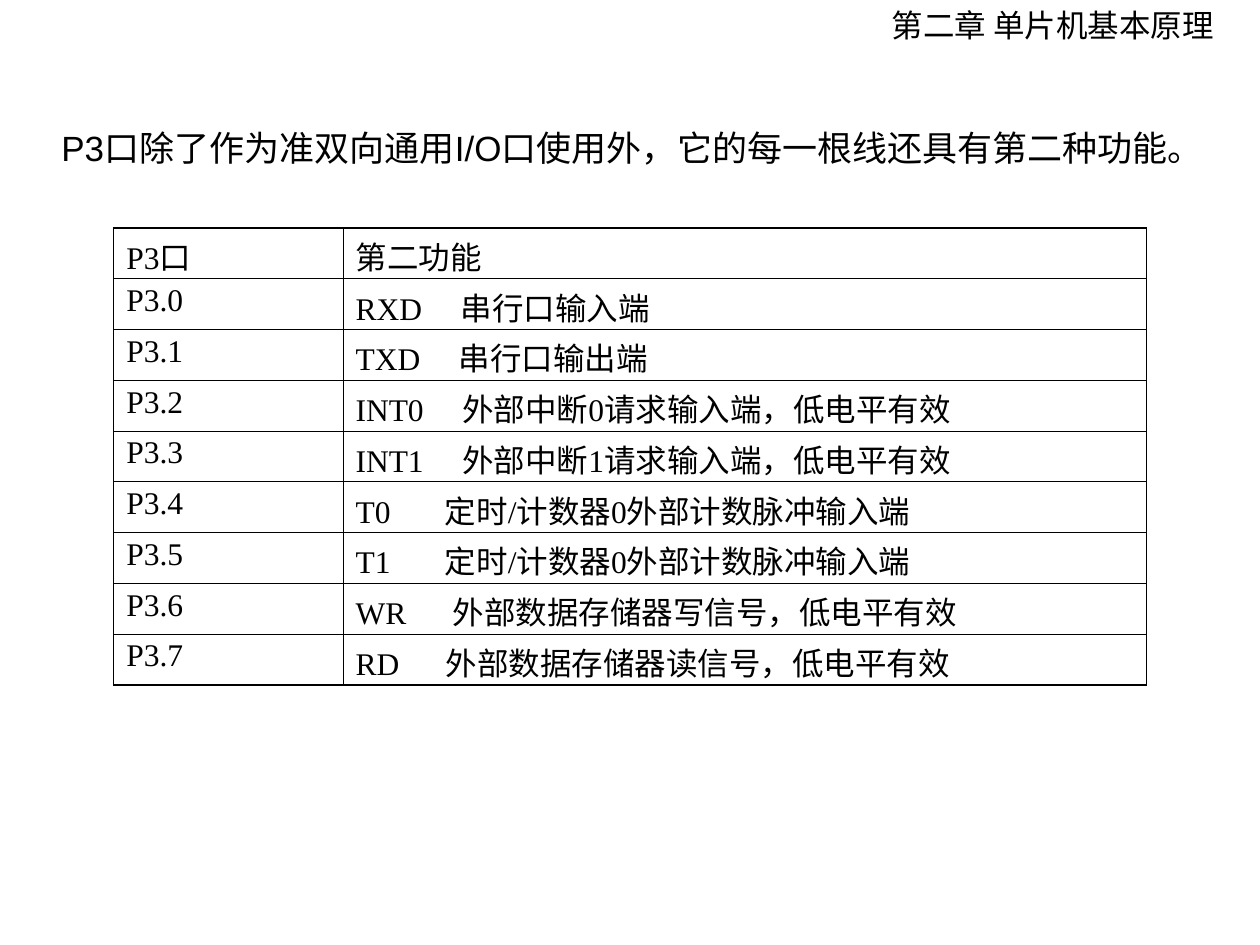
from dataclasses import dataclass

from lxml import etree
from pptx import Presentation
from pptx.dml import color
from pptx.enum import text
from pptx.oxml import ns
from pptx.util import Pt


@dataclass(frozen=True)
class Theme:
    """Colours, fonts, type sizes and line widths."""
    ink: color.RGBColor = color.RGBColor(0, 0, 0)
    sans: str = "Arial"
    serif: str = "Times New Roman"
    asian: str = "Noto Sans CJK JP"
    lead: float = 20
    body: float = 18
    edge: float = 0.96
    rule: float = 0.45


THEME = Theme()
TITLE = "第二章 单片机基本原理"
LEAD = "P3口除了作为准双向通用I/O口使用外，它的每一根线还具有第二种功能。"
HEADS = ("P3口", "第二功能")
PINS = [
    ("RXD", "串行口输入端", 60),
    ("TXD", "串行口输出端", 59),
    ("INT0", "外部中断0请求输入端，低电平有效", 61),
    ("INT1", "外部中断1请求输入端，低电平有效", 61),
    ("T0", "定时/计数器0外部计数脉冲输入端", 51),
    ("T1", "定时/计数器0外部计数脉冲输入端", 51),
    ("WR", "外部数据存储器写信号，低电平有效", 55.5),
    ("RD", "外部数据存储器读信号，低电平有效", 51.5),
]


def add(parent, tag, **attrs):
    """Append an XML element with the given attributes."""
    node = etree.SubElement(parent, ns.qn(tag))
    for key, value in attrs.items():
        node.set(key, str(value))
    return node


def write(frame, words, size=THEME.body, font=THEME.serif, stop=None):
    """Fill a text frame with one formatted line and an optional tab stop."""
    para = frame.paragraphs[0]
    para.alignment = text.PP_ALIGN.LEFT
    if stop:
        tabs = add(para._p.get_or_add_pPr(), "a:tabLst")
        add(tabs, "a:tab", pos=int(Pt(stop)), algn="l")
    run = para.add_run()
    run.text = words
    run.font.size = Pt(size)
    run.font.name = font
    run.font.color.rgb = THEME.ink
    add(run._r.get_or_add_rPr(), "a:ea", typeface=THEME.asian)


def label(slide, box, words, **style):
    """Place a single line of text in a box."""
    frame = slide.shapes.add_textbox(*map(Pt, box)).text_frame
    frame.word_wrap = False
    frame.vertical_anchor = text.MSO_ANCHOR.MIDDLE
    write(frame, words, **style)


def border(cell, top, base):
    """Draw the four borders of a cell and clear its fill."""
    props = cell._tc.get_or_add_tcPr()
    widths = {"L": THEME.rule, "R": THEME.rule, "T": top, "B": base}
    for side, width in widths.items():
        line = add(props, f"a:ln{side}", w=int(Pt(width)))
        add(add(line, "a:solidFill"), "a:srgbClr", val=THEME.ink)
    cell.fill.background()


def grid(slide, box, first):
    """Place the pin table in a box, with a given first column width."""
    rows = [(*HEADS, None)]
    rows += [(f"P3.{i}", f"{name}\t{use}", stop)
             for i, (name, use, stop) in enumerate(PINS)]
    table = slide.shapes.add_table(len(rows), 2, *map(Pt, box)).table
    table.first_row = table.horz_banding = False
    for col, width in zip(table.columns, (first, box[2] - first)):
        col.width = Pt(width)
    last = len(rows) - 1
    for i, (port, use, stop) in enumerate(rows):
        table.rows[i].height = Pt(box[3] / len(rows))
        for j, (words, tab) in enumerate(((port, None), (use, stop))):
            cell = table.cell(i, j)
            cell.margin_top, cell.margin_bottom = Pt(2.7), Pt(0)
            border(cell, THEME.edge if i == 0 else THEME.rule,
                   THEME.edge if i == last else THEME.rule)
            write(cell.text_frame, words, stop=tab)


def main():
    """Build and save the slide."""
    deck = Presentation()
    deck.slide_width, deck.slide_height = Pt(720), Pt(540)
    slide = deck.slides.add_slide(deck.slide_layouts[6])
    label(slide, (502.5, 0, 202.5, 28.8), TITLE, font=THEME.asian)
    label(slide, (28, 68.4, 681, 31.7), LEAD, size=THEME.lead, font=THEME.sans)
    grid(slide, (65, 130.3, 590, 261), 131)
    deck.save("out.pptx")


if __name__ == "__main__":
    main()
